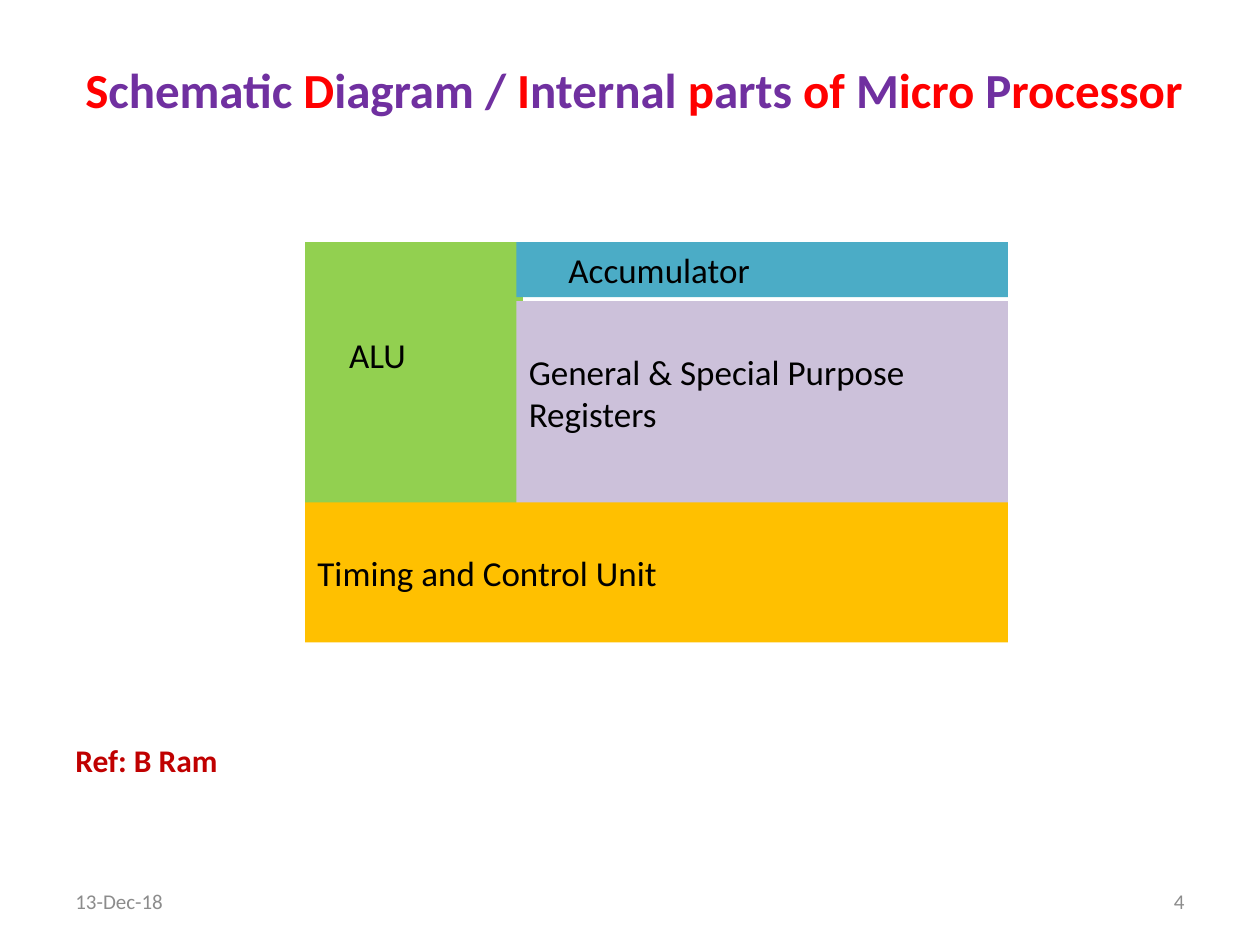
from pptx import Presentation
from pptx.dml.color import RGBColor
from pptx.enum import shapes, text
from pptx.util import Cm, Pt

theme = {
    "font": "Calibri",
    "red": "FF0000", "purple": "7030A0", "crimson": "C00000",
    "grey": "8C8C8C", "black": "000000",
    "green": "92D050", "teal": "4BACC6", "lilac": "CCC1DA", "amber": "FFC000",
    "title": 28, "body": 20, "ref": 18, "foot": 12,
}

prs = Presentation()
prs.slide_width, prs.slide_height = Cm(25.4), Cm(19.05)
slide = prs.slides.add_slide(prs.slide_layouts[6])


def write(shape, runs, size, bold=False, align="LEFT", **frame):
    """Fill a shape with coloured runs; frame holds text frame settings."""
    tf = shape.text_frame
    for key, val in {"word_wrap": True, "vertical_anchor": text.MSO_ANCHOR.TOP, **frame}.items():
        setattr(tf, key, val)
    para = tf.paragraphs[0]
    para.alignment = text.PP_ALIGN[align]
    for words, tint in runs:
        run = para.add_run()
        run.text = words
        for key, val in {"name": theme["font"], "size": Pt(theme[size]), "bold": bold}.items():
            setattr(run.font, key, val)
        run.font.color.rgb = RGBColor.from_string(theme[tint])


# Processor blocks: label, fill, left, top, width, height, left inset, lines above
left, mid, right, top = 6.15, 10.41, 20.32, 4.88
line = 0.86
blocks = [
    ("ALU", "green", left, top, 4.39, 5.38, 0.89, 2),
    ("Accumulator", "teal", mid, top, right - mid, 1.11, 1.05, 0),
    ("General & Special Purpose Registers", "lilac", mid, 6.07, right - mid, 4.52, 0.25, 1),
    ("Timing and Control Unit", "amber", left, 10.13, right - left, 2.82, 0.25, 1),
]
for label, tint, x, y, w, h, inset, lines in blocks:
    box = slide.shapes.add_shape(shapes.MSO_SHAPE.RECTANGLE, Cm(x), Cm(y), Cm(w), Cm(h))
    box.shadow.inherit = False
    box.fill.solid()
    box.fill.fore_color.rgb = RGBColor.from_string(theme[tint])
    box.line.fill.background()
    write(box, [(label, "black")], "body",
          margin_left=Cm(inset), margin_top=Cm(0.13 + lines * line))

# Title, reference and footer
title = [
    ("S", "red"), ("chematic", "purple"), (" D", "red"), ("iagram / ", "purple"),
    ("I", "red"), ("nternal ", "purple"), ("p", "red"), ("arts", "purple"),
    (" of ", "red"), ("M", "purple"), ("icro ", "red"), ("P", "purple"),
    ("rocessor", "red"),
]
free = {"bold": True, "word_wrap": False}
foot = {"vertical_anchor": text.MSO_ANCHOR.MIDDLE}
notes = [
    (title, "title", 1.47, 1.07, 22.91, 1.45, free),
    ([("Ref: B Ram", "crimson")], "ref", 1.27, 14.81, 3.4, 1.02, free),
    ([("13-Dec-18", "grey")], "foot", 1.27, 17.65, 5.92, 1.02, foot),
    ([("4", "grey")], "foot", 18.21, 17.65, 5.92, 1.02, {**foot, "align": "RIGHT"}),
]
for runs, size, x, y, w, h, style in notes:
    box = slide.shapes.add_textbox(Cm(x), Cm(y), Cm(w), Cm(h))
    write(box, runs, size, **style)

prs.save("out.pptx")
